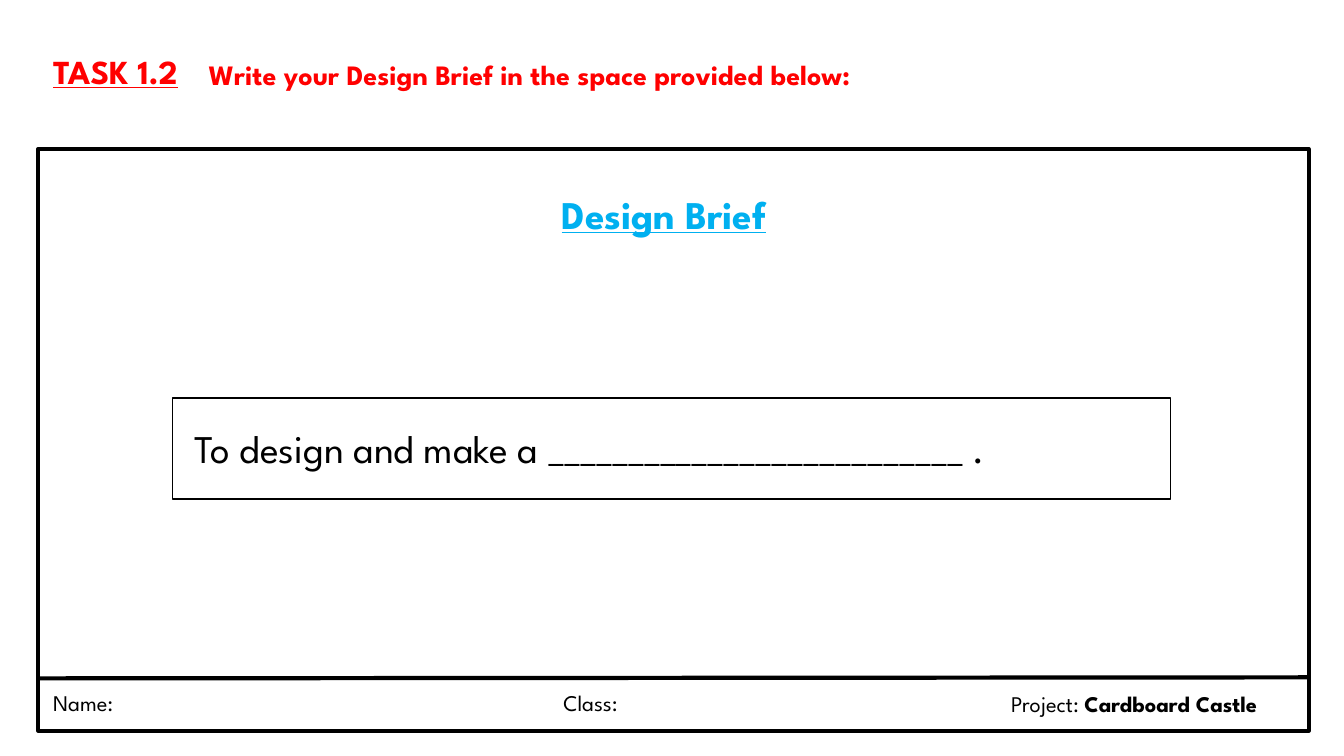
import pptx
import pptx.dml.color
import pptx.enum.shapes
import pptx.enum.text
import pptx.oxml.ns
import pptx.util
from lxml import etree

PX = 9144  # 100 px to the inch
FONT = "League Spartan"
BLACK, RED, BLUE = "000000", "FF0000", "00B0F0"


def color(value):
    """Turn a hex string into a colour."""
    return pptx.dml.color.RGBColor.from_string(value)


def write(box, place, parts, size, ink, underline=False):
    """Place a text shape and fill it with (text, bold) parts."""
    box.left, box.top, box.width, box.height = [length * PX for length in place]
    frame = box.text_frame
    frame.word_wrap = True
    frame.auto_size = pptx.enum.text.MSO_AUTO_SIZE.NONE
    frame.vertical_anchor = pptx.enum.text.MSO_ANCHOR.TOP
    para = frame.paragraphs[0]
    para.alignment = pptx.enum.text.PP_ALIGN.LEFT
    for text, bold in parts:
        span = para.add_run()
        span.text = text
        span.font.name = FONT
        span.font.size = pptx.util.Pt(size)
        span.font.bold = bold
        span.font.underline = underline
        span.font.color.rgb = color(ink)


deck = pptx.Presentation()
deck.slide_width, deck.slide_height = 1333 * PX, 750 * PX
page = deck.slides.add_slide(deck.slide_layouts[5])

# Page frame and answer box
for place, weight in [((38, 148, 1260, 577), 3), ((171, 395, 990, 100), 1)]:
    frame_box = page.shapes.add_shape(
        pptx.enum.shapes.MSO_SHAPE.RECTANGLE, *[length * PX for length in place])
    frame_box.shadow.inherit = False
    frame_box.fill.background()
    frame_box.line.color.rgb = color(BLACK)
    frame_box.line.width = pptx.util.Pt(weight)

# Rule above the footer
rule = page.shapes.add_connector(
    pptx.enum.shapes.MSO_CONNECTOR.STRAIGHT, 38 * PX, 673 * PX, 1299 * PX, 672 * PX)
rule.line.color.rgb = color(BLACK)
rule.line.width = pptx.util.Pt(3)
etree.SubElement(rule._element.spPr, pptx.oxml.ns.qn("a:effectLst"))

write(page.shapes.title, (547, 184, 242, 57), [("Design Brief", True)], 28, BLUE, True)

texts = [
    ((43, 46, 154, 50), [("TASK 1.2", True)], 24, RED, True),
    ((197, 52, 726, 44),
     [("Write your Design Brief in the space provided below:", True)], 20, RED, False),
    ((183, 416, 989, 57),
     [("To design and make a __________________________ .", False)], 28, BLACK, False),
    ((43, 679, 94, 37), [("Name:", False)], 16, BLACK, False),
    ((549, 679, 82, 37), [("Class:", False)], 16, BLACK, False),
    ((993, 680, 304, 37),
     [("Project: ", False), ("Cardboard Castle", True)], 16, BLACK, False),
]
for place, parts, size, ink, underline in texts:
    write(page.shapes.add_textbox(0, 0, PX, PX), place, parts, size, ink, underline)

deck.save("out.pptx")
